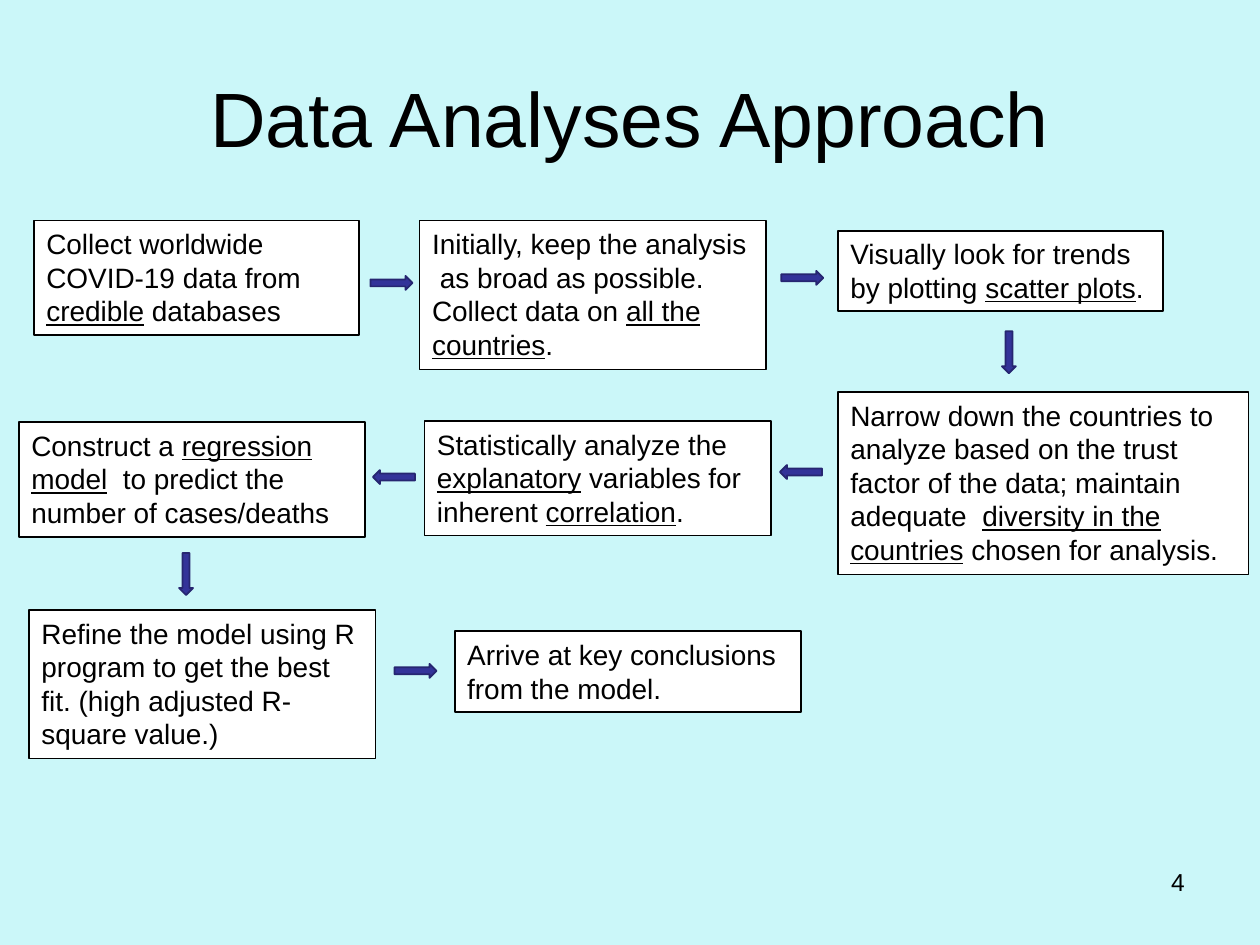
from pptx import Presentation
from pptx.dml.color import RGBColor
from pptx.enum.shapes import MSO_SHAPE as Shape
from pptx.enum.text import MSO_ANCHOR as Anchor, MSO_AUTO_SIZE as AutoSize, PP_ALIGN as Align
from pptx.util import Pt

COLORS = {"background": "CBF7F9", "box": "FFFFFF", "text": "000000",
          "arrow": "333399", "arrow_edge": "262671"}
FONT = "Arial"

STEPS = [
    ((19.4, 126, 185.8, 65.5), 1,
     "Collect worldwide COVID-19 data from _credible_ databases"),
    ((239.8, 126, 198, 85), 0.75,
     "Initially, keep the analysis  as broad as possible. Collect data on _all the countries_."),
    ((478.8, 131.8, 185.8, 46), 1,
     "Visually look for trends by plotting _scatter plots_."),
    ((478.8, 223.9, 234.7, 104.4), 1,
     "Narrow down the countries to analyze based on the trust factor of the data; "
     "maintain adequate  _diversity in the countries_ chosen for analysis."),
    ((242.6, 240.5, 198, 65.5), 1,
     "Statistically analyze the _explanatory_ variables for inherent _correlation_."),
    ((10.8, 241.2, 198, 65.5), 1,
     "Construct a _regression model_  to predict the number of cases/deaths"),
    ((16.6, 348.5, 198, 85), 1,
     "Refine the model using R program to get the best fit. (high adjusted R-square value.)"),
    ((259.9, 360.7, 198, 46), 1,
     "Arrive at key conclusions from the model."),
]

ARROWS = [(211.7, 157.7, 0), (446.4, 154.8, 0), (564.5, 197.3, 90), (445.7, 265.7, 180),
          (213.1, 268.6, 180), (94.3, 324, 90), (225.4, 379.4, 0)]


def color(name):
    """Return the named colour."""
    return RGBColor.from_string(COLORS[name])


def paint(sp, fill, line, width):
    """Give a shape its fill and outline, without a shadow."""
    sp.shadow.inherit = False
    sp.fill.solid()
    sp.fill.fore_color.rgb = color(fill)
    sp.line.color.rgb = color(line)
    sp.line.width = Pt(width)


def format_runs(p, size, align):
    """Set the font and alignment of a paragraph."""
    p.alignment = align
    for r in p.runs:
        r.font.name = FONT
        r.font.size = Pt(size)
        r.font.color.rgb = color("text")


def add_label(s, box, text, size, align, anchor):
    """Place a one-line text box."""
    tf = s.shapes.add_textbox(*map(Pt, box)).text_frame
    tf.word_wrap = True
    tf.vertical_anchor = anchor
    tf.text = text
    format_runs(tf.paragraphs[0], size, align)


def add_step(s, box, width, text):
    """Place a step box, underlining the words between underscores."""
    sp = s.shapes.add_shape(Shape.RECTANGLE, *map(Pt, box))
    paint(sp, "box", "text", width)
    tf = sp.text_frame
    tf.word_wrap = True
    tf.auto_size = AutoSize.SHAPE_TO_FIT_TEXT
    tf.vertical_anchor = Anchor.TOP
    p = tf.paragraphs[0]
    for i, part in enumerate(text.split("_")):
        r = p.add_run()
        r.text = part
        if i % 2:
            r.font.underline = True
    format_runs(p, 16, Align.LEFT)


def add_arrow(s, left, top, rotation):
    """Place a small block arrow turned to the given angle."""
    sp = s.shapes.add_shape(Shape.RIGHT_ARROW, Pt(left), Pt(top), Pt(24), Pt(8))
    paint(sp, "arrow", "arrow_edge", 1)
    sp.rotation = rotation


def add_flow_slide(prs):
    """Build the slide with the title, the steps and the arrows."""
    s = prs.slides.add_slide(prs.slide_layouts[6])
    s.background.fill.solid()
    s.background.fill.fore_color.rgb = color("background")
    add_label(s, (36, 21.6, 648, 90), "Data Analyses Approach", 44, Align.CENTER, Anchor.MIDDLE)
    for step in STEPS:
        add_step(s, *step)
    for arrow in ARROWS:
        add_arrow(s, *arrow)
    add_label(s, (516, 491.8, 168, 37.4), "4", 14, Align.RIGHT, Anchor.TOP)


def main():
    """Create and save the presentation."""
    prs = Presentation()
    prs.slide_width, prs.slide_height = Pt(720), Pt(540)
    add_flow_slide(prs)
    prs.save("out.pptx")


if __name__ == "__main__":
    main()
